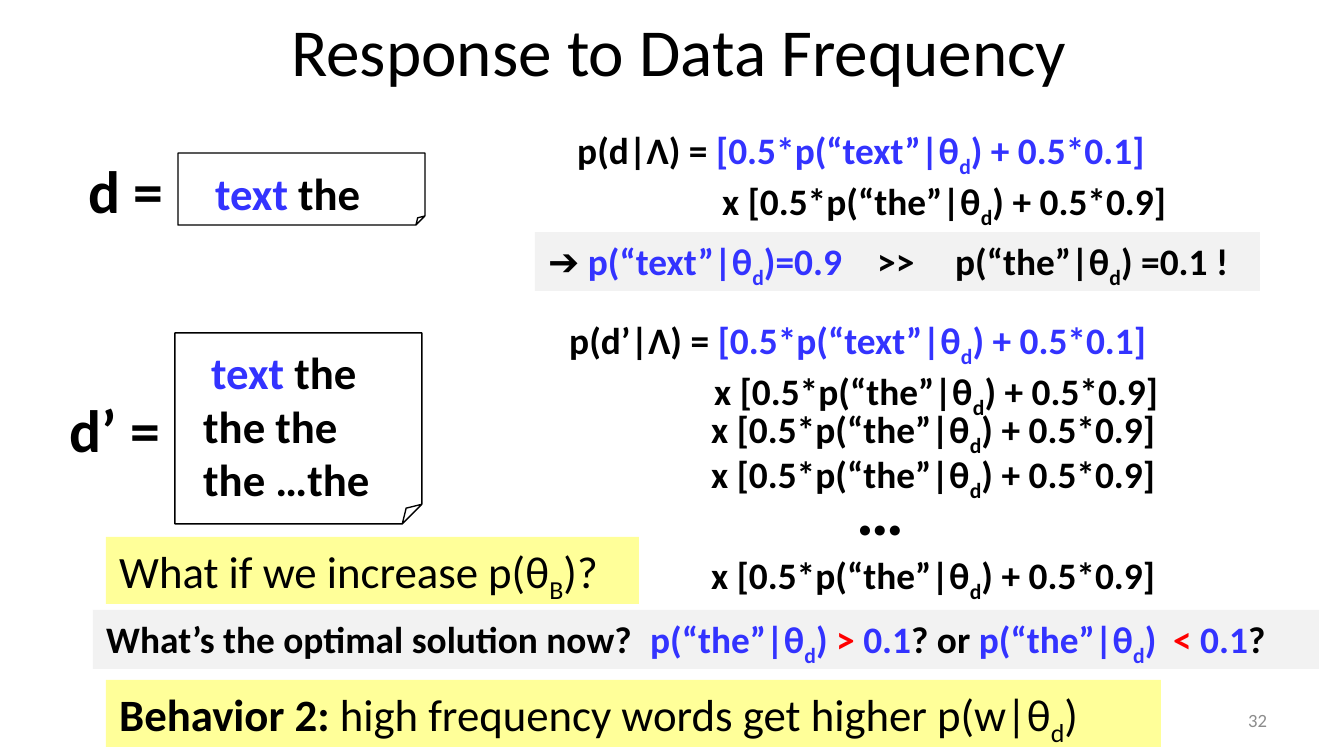
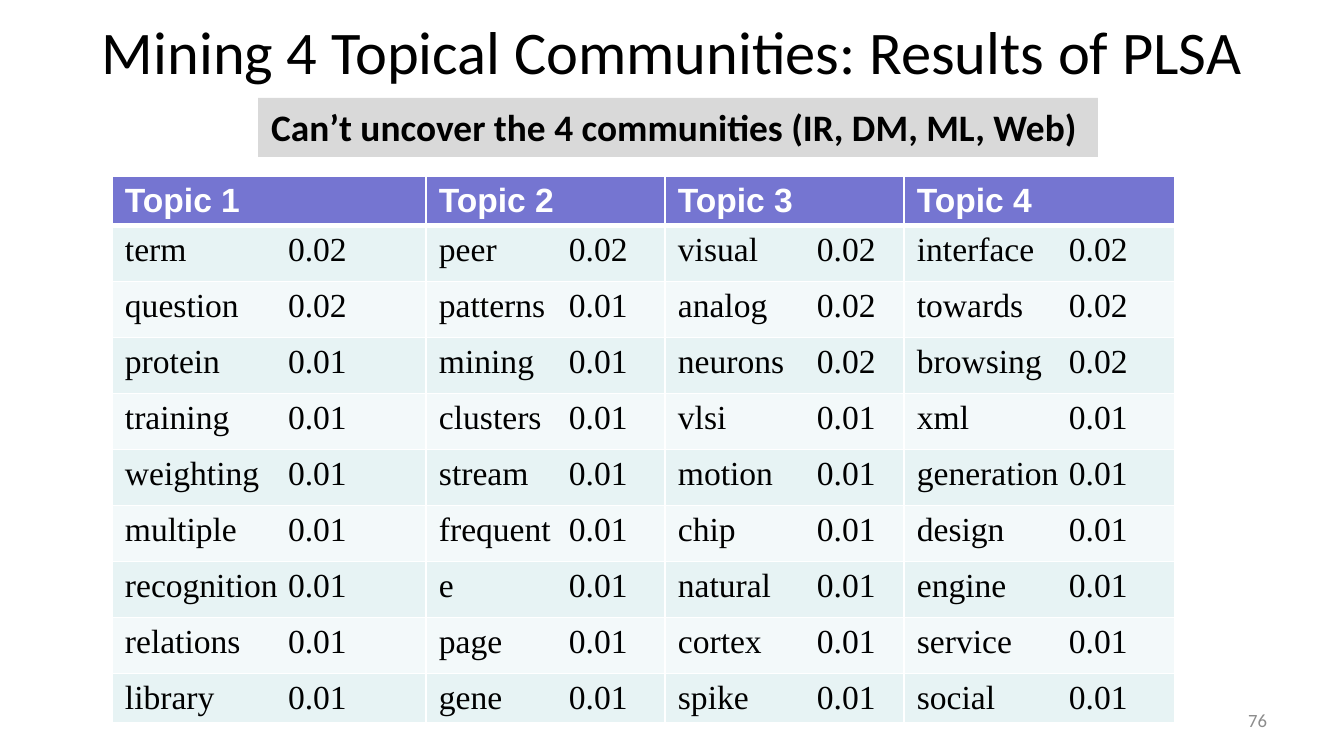
from dataclasses import dataclass

from lxml.etree import SubElement
from pptx import Presentation
from pptx.dml.color import RGBColor
from pptx.enum.shapes import MSO_SHAPE as Preset
from pptx.enum.text import MSO_ANCHOR as Anchor, MSO_AUTO_SIZE as AutoSize, PP_ALIGN as Align
from pptx.oxml import parse_xml
from pptx.oxml.ns import nsdecls, qn
from pptx.util import Emu, Pt

PX_PER_INCH = 134.4
BLACK = RGBColor(0x00, 0x00, 0x00)
WHITE = RGBColor(0xFF, 0xFF, 0xFF)
BLUE = RGBColor(0x33, 0x33, 0xFF)
RED = RGBColor(0xFF, 0x00, 0x00)
PAGE_GREY = RGBColor(0x8C, 0x8C, 0x8C)
PALE_GREY = RGBColor(0xF2, 0xF2, 0xF2)
BANNER_GREY = RGBColor(0xD9, 0xD9, 0xD9)
YELLOW = RGBColor(0xFF, 0xFF, 0x99)
HEADER_VIOLET = RGBColor(0x75, 0x75, 0xD1)
BANDS = (RGBColor(0xE7, 0xF3, 0xF4), RGBColor(0xF3, 0xF9, 0xFA))
BODY_FONT = "Calibri"
HEADER_FONT = "Arial"
WORD_FONT = "Times New Roman"

COLUMN_WIDTHS = (314, 239, 239, 271)
VALUE_TABS = (163, 130, 139, 152)
ROW_HEIGHTS = (47, *[56] * 8, 47)
TOPICS = {
    "Topic 1": (("term", "0.02"), ("question", "0.02"), ("protein", "0.01"),
                ("training", "0.01"), ("weighting", "0.01"), ("multiple", "0.01"),
                ("recognition", "0.01"), ("relations", "0.01"), ("library", "0.01")),
    "Topic 2": (("peer", "0.02"), ("patterns", "0.01"), ("mining", "0.01"),
                ("clusters", "0.01"), ("stream", "0.01"), ("frequent", "0.01"),
                ("e", "0.01"), ("page", "0.01"), ("gene", "0.01")),
    "Topic 3": (("visual", "0.02"), ("analog", "0.02"), ("neurons", "0.02"),
                ("vlsi", "0.01"), ("motion", "0.01"), ("chip", "0.01"),
                ("natural", "0.01"), ("cortex", "0.01"), ("spike", "0.01")),
    "Topic 4": (("interface", "0.02"), ("towards", "0.02"), ("browsing", "0.02"),
                ("xml", "0.01"), ("generation", "0.01"), ("design", "0.01"),
                ("engine", "0.01"), ("service", "0.01"), ("social", "0.01")),
}


@dataclass
class Span:
    """A stretch of text in one format."""
    text: str
    colour: RGBColor = BLACK
    bold: bool = True
    base: int = 0


@dataclass
class Line:
    """A paragraph with its first-line indent and tab stops in px."""
    spans: list
    indent: int = 0
    tabs: tuple = ()


def px(length):
    """Turn px into EMU."""
    return Emu(round(length * 914400 / PX_PER_INCH))


def theta(before, after, colour=BLACK, bold=True, index="d"):
    """Return the spans of a term with a subscripted theta."""
    return [Span(before + "θ", colour, bold), Span(index, colour, bold, -25000),
            Span(after, colour, bold)]


def the_factor(indent):
    """Return the factor for the word "the"."""
    return Line(theta("x [0.5*p(“the”|", ") + 0.5*0.9]"), indent)


def likelihood(document):
    """Return the two opening lines of a document's likelihood."""
    text_factor = theta("[0.5*p(“text”|", ") + 0.5*0.1]", BLUE)
    return [Line([Span(f"p({document}|Λ) = "), *text_factor]), the_factor(145)]


def write_line(para, line, size, font=BODY_FONT, align=Align.LEFT):
    """Write one line into a paragraph, run by run."""
    para.alignment = align
    props = para._p.get_or_add_pPr()
    if line.indent:
        props.set("marL", "0")
        props.set("indent", str(px(line.indent)))
    if line.tabs:
        stops = SubElement(props, qn("a:tabLst"))
        for position in line.tabs:
            SubElement(stops, qn("a:tab"), pos=str(px(position)), algn="l")
    for span in line.spans:
        run = para.add_run()
        run.text = span.text
        run.font.name, run.font.size, run.font.bold = font, Pt(size), span.bold
        run.font.color.rgb = span.colour
        if span.base:
            run.font._element.set("baseline", str(span.base))


def set_insets(frame, side, end):
    """Set the inner margins of a text frame or a cell."""
    frame.margin_left = frame.margin_right = px(side)
    frame.margin_top = frame.margin_bottom = px(end)


def add_box(page, area, lines, size=20, fill=None):
    """Add a text box, or a filled rectangle with text."""
    place = [px(length) for length in area]
    if fill is None:
        box = page.shapes.add_textbox(*place)
    else:
        box = page.shapes.add_shape(Preset.RECTANGLE, *place)
        box.shadow.inherit = False
        box.fill.solid()
        box.fill.fore_color.rgb = fill
        box.line.fill.background()
    frame = box.text_frame
    frame.word_wrap = True
    frame.auto_size = AutoSize.SHAPE_TO_FIT_TEXT
    frame.vertical_anchor = Anchor.TOP
    for number, line in enumerate(lines):
        para = frame.add_paragraph() if number else frame.paragraphs[0]
        write_line(para, line, size)


def add_note(page, area, fold):
    """Add the outline of a sheet with a folded corner."""
    note = page.shapes.add_shape(Preset.FOLDED_CORNER, *[px(length) for length in area])
    note.shadow.inherit = False
    guides = note._element.spPr.find(qn("a:prstGeom")).get_or_add_avLst()
    SubElement(guides, qn("a:gd"), name="adj", fmla=f"val {round(fold * 100000)}")
    note.fill.background()
    note.line.color.rgb = BLACK
    note.line.width = Pt(0.75)


def add_page(deck, title, left, size, number):
    """Add a page with its title and page number."""
    page = deck.slides.add_slide(deck.slide_layouts[5])
    head = page.shapes.title
    head.left, head.top, head.width, head.height = [px(v) for v in (left, -13, 1210, 126)]
    foot = page.shapes.add_textbox(px(964), px(700), px(313), px(40))
    for shape, text, points, colour, align in (
            (head, title, size, BLACK, Align.CENTER),
            (foot, number, 10, PAGE_GREY, Align.RIGHT)):
        frame = shape.text_frame
        frame.word_wrap = True
        frame.auto_size = AutoSize.NONE
        frame.vertical_anchor = Anchor.MIDDLE
        set_insets(frame, 10, 5)
        write_line(frame.paragraphs[0], Line([Span(text, colour, False)]), points, align=align)
    return page


def set_borders(cell, top, bottom):
    """Give a cell white borders, with top and bottom widths in points."""
    props = cell._tc.get_or_add_tcPr()
    for place, (side, width) in enumerate((("L", 1), ("R", 1), ("T", top), ("B", bottom))):
        props.insert(place, parse_xml(
            f'<a:ln{side} {nsdecls("a")} w="{Pt(width)}"><a:solidFill>'
            f'<a:srgbClr val="{WHITE}"/></a:solidFill></a:ln{side}>'))


def fill_cell(cell, line, row, font):
    """Write and colour one cell of the topic table."""
    set_insets(cell, 13, 6)
    write_line(cell.text_frame.paragraphs[0], line, 18, font)
    cell.fill.solid()
    cell.fill.fore_color.rgb = BANDS[(row - 1) % 2] if row else HEADER_VIOLET
    set_borders(cell, 3 if row == 1 else 1, 1 if row else 3)


def add_topic_table(page, left, top):
    """Add the table of topics with their words and probabilities."""
    table = page.shapes.add_table(len(ROW_HEIGHTS), len(TOPICS), px(left), px(top),
                                  px(sum(COLUMN_WIDTHS)), px(sum(ROW_HEIGHTS))).table
    table.horz_banding = False
    for row, height in zip(table.rows, ROW_HEIGHTS):
        row.height = px(height)
    for column, (topic, words) in enumerate(TOPICS.items()):
        table.columns[column].width = px(COLUMN_WIDTHS[column])
        fill_cell(table.cell(0, column), Line([Span(topic, WHITE)]), 0, HEADER_FONT)
        for row, entry in enumerate(words, 1):
            line = Line([Span("\t".join(entry), bold=False)], tabs=(VALUE_TABS[column],))
            fill_cell(table.cell(row, column), line, row, WORD_FONT)


def build_frequency_page(deck):
    """Build the page on the response to data frequency."""
    page = add_page(deck, "Response to Data Frequency", 74, 36, "32")

    add_box(page, (194, 159, 194, 67), [Line([Span("text ", BLUE), Span("the")], 8)], 24)
    add_note(page, (178, 153, 247, 72), 0.125)
    add_box(page, (75, 147, 117, 86), [Line([Span("d =")])], 32)
    add_box(page, (564, 121, 638, 104), likelihood("d"))
    add_box(page, (535, 232, 725, 59), [Line([
        Span("➔ "), *theta("p(“text”|", ")=0.9", BLUE),
        *theta("\t>>\tp(“the”|", ") =0.1 !")], tabs=(329, 407))], fill=PALE_GREY)

    add_box(page, (190, 338, 204, 176),
            [Line([Span("text ", BLUE), Span("the the the the …the")], 8)], 24)
    add_note(page, (175, 333, 247, 191), 0.103)
    add_box(page, (56, 386, 133, 86), [Line([Span("d’ =")])], 32)
    add_box(page, (556, 311, 638, 104), likelihood("d’"))
    for top in (400, 445, 546):
        add_box(page, (672, top, 546, 59), [the_factor(26)])
    add_box(page, (843, 462, 75, 95), [Line([Span("…")])], 36)

    add_box(page, (93, 610, 1226, 59), [Line([
        Span("What’s the optimal solution now?\t"),
        *theta("p(“the”|", ") ", BLUE), Span("> ", RED), Span("0.1", BLUE), Span("? or "),
        *theta("p(“the”|", ")\t", BLUE), Span("<", RED), Span(" 0.1", BLUE), Span("?"),
    ], tabs=(544, 1067))], fill=PALE_GREY)
    add_box(page, (106, 680, 1055, 67), [Line([
        Span("Behavior 2: "),
        *theta("high frequency words get higher\tp(w|", ")", bold=False)],
        tabs=(818,))], 24, YELLOW)
    add_box(page, (106, 537, 533, 67), [Line(
        theta("What if we increase p(", ")?", bold=False, index="B"))], 24, YELLOW)


def build_topics_page(deck):
    """Build the page with the topic table."""
    page = add_page(deck, "Mining 4 Topical Communities: Results of PLSA", 67, 32.4, "76")
    add_topic_table(page, 112, 176)
    add_box(page, (258, 98, 840, 59),
            [Line([Span("Can’t uncover the 4 communities (IR, DM, ML, Web)")])],
            fill=BANNER_GREY)


def main():
    """Build and save the deck."""
    deck = Presentation()
    deck.slide_width, deck.slide_height = px(1344), px(756)
    build_frequency_page(deck)
    build_topics_page(deck)
    deck.save("out.pptx")


if __name__ == "__main__":
    main()
